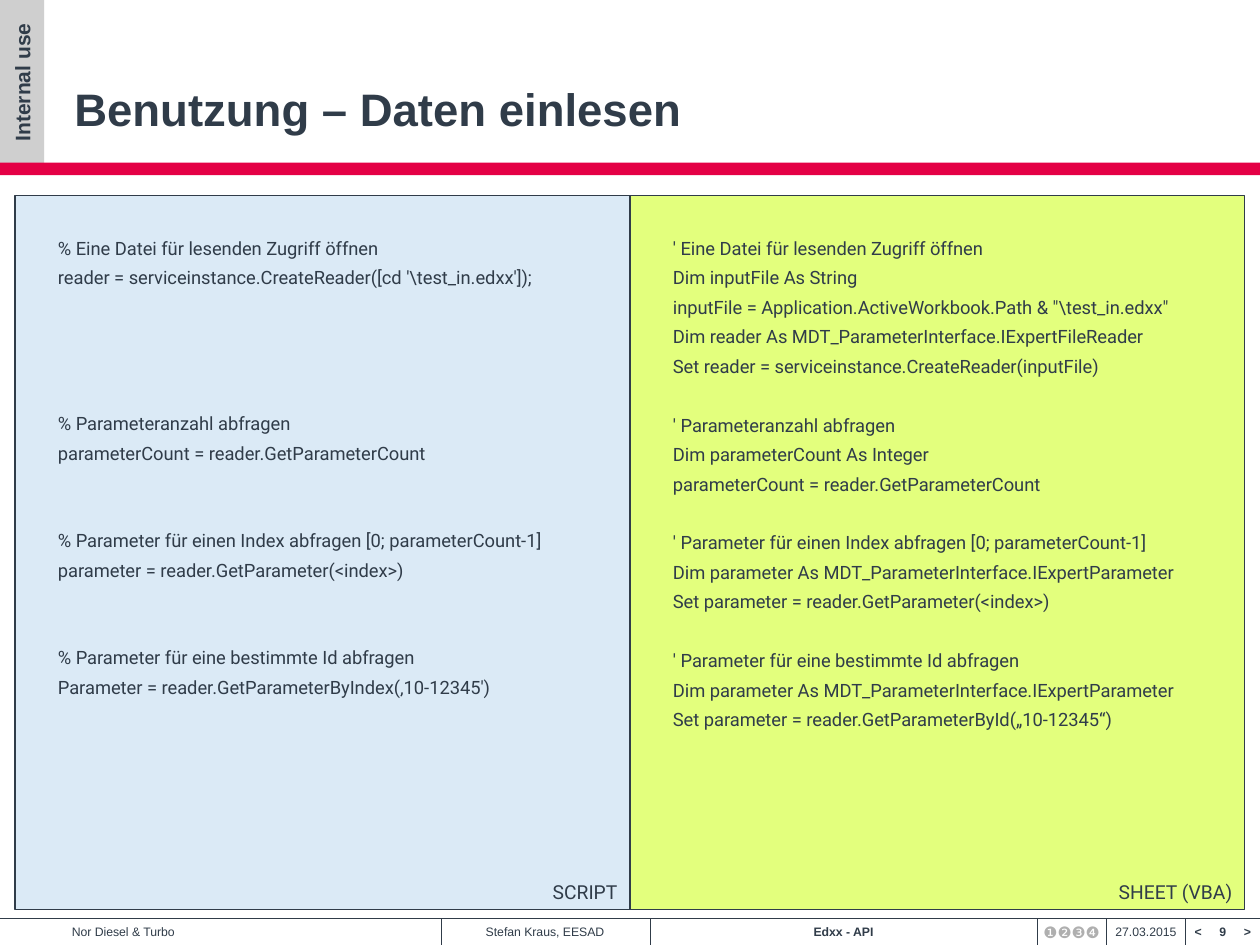
from dataclasses import dataclass

from lxml import etree
from pptx import Presentation
from pptx.dml.color import RGBColor
from pptx.enum.shapes import MSO_CONNECTOR, MSO_SHAPE
from pptx.enum.text import MSO_ANCHOR as Anchor, PP_ALIGN as Align
from pptx.oxml.ns import qn
from pptx.util import Inches, Pt

INK = "303C49"
FOOTER_TOP = 7.29
FOOTER_HEIGHT = 0.21
CODE_SIZE = 10.5
LINE_GAP = 4.3
LINE_PITCH = 16.6


@dataclass
class Style:
    size: float
    font: str = "Arial"
    bold: bool = False
    color: str = INK
    align: Align = Align.CENTER
    anchor: Anchor = Anchor.MIDDLE


@dataclass
class FooterCell:
    text: str
    left: float
    width: float
    bold: bool = False
    align: Align = Align.CENTER
    inset: float = 0


@dataclass
class CodeBlock:
    lines: list[str]
    blank_lines_before: int = 0


@dataclass
class Panel:
    label: str
    left: float
    fill: str
    blocks: list[CodeBlock]


FOOTER_CELLS = [
    FooterCell("9", 9.41, 0.59, bold=True),
    FooterCell("<", 9.41, 0.2, bold=True),
    FooterCell(">", 9.8, 0.2, bold=True),
    FooterCell("Nor Diesel & Turbo", 0, 2.17, align=Align.LEFT, inset=0.57),
    FooterCell("Stefan Kraus, EESAD", 3.5, 1.65),
    FooterCell("Edxx - API", 5.16, 3.07, bold=True),
    FooterCell("27.03.2015", 8.78, 0.63),
]
FOOTER_DIVIDERS = [3.5, 5.16, 8.23, 8.78, 9.41]

PANELS = [
    Panel("SCRIPT", 0.12, "DBEAF6", [
        CodeBlock(["% Eine Datei für lesenden Zugriff öffnen",
                   "reader = serviceinstance.CreateReader([cd '\\test_in.edxx']);"]),
        CodeBlock(["% Parameteranzahl abfragen",
                   "parameterCount = reader.GetParameterCount"], 4),
        CodeBlock(["% Parameter für einen Index abfragen [0; parameterCount-1]",
                   "parameter = reader.GetParameter(<index>)"], 2),
        CodeBlock(["% Parameter für eine bestimmte Id abfragen",
                   "Parameter = reader.GetParameterByIndex(‚10-12345')"], 2),
    ]),
    Panel("SHEET (VBA)", 5, "E3FF7D", [
        CodeBlock(["' Eine Datei für lesenden Zugriff öffnen",
                   "Dim inputFile As String",
                   "inputFile = Application.ActiveWorkbook.Path & \"\\test_in.edxx\"",
                   "Dim reader As MDT_ParameterInterface.IExpertFileReader",
                   "Set reader = serviceinstance.CreateReader(inputFile)"]),
        CodeBlock(["' Parameteranzahl abfragen",
                   "Dim parameterCount As Integer",
                   "parameterCount = reader.GetParameterCount"], 1),
        CodeBlock(["' Parameter für einen Index abfragen [0; parameterCount-1]",
                   "Dim parameter As MDT_ParameterInterface.IExpertParameter",
                   "Set parameter = reader.GetParameter(<index>)"], 1),
        CodeBlock(["' Parameter für eine bestimmte Id abfragen",
                   "Dim parameter As MDT_ParameterInterface.IExpertParameter",
                   "Set parameter = reader.GetParameterById(„10-12345“)"], 1),
    ]),
]


def rgb(color: str) -> RGBColor:
    return RGBColor.from_string(color)


def write(box, text: str, style: Style, insets=(0, 0, 0, 0)) -> None:
    """Fill a box with text; insets are left, top, right, bottom in inches."""
    frame = box.text_frame
    frame.word_wrap = True
    frame.vertical_anchor = style.anchor
    (frame.margin_left, frame.margin_top,
     frame.margin_right, frame.margin_bottom) = map(Inches, insets)
    frame.text = text
    for para in frame.paragraphs:
        para.alignment = style.align
        for span in para.runs:
            span.font.name = style.font
            span.font.size = Pt(style.size)
            span.font.bold = style.bold
            span.font.color.rgb = rgb(style.color)


def add_text(page, left: float, top: float, width: float, height: float,
             text: str, style: Style, insets=(0, 0, 0, 0)):
    box = page.shapes.add_textbox(*map(Inches, (left, top, width, height)))
    write(box, text, style, insets)
    return box


def add_bar(page, left: float, top: float, width: float, height: float, fill: str):
    bar = page.shapes.add_shape(MSO_SHAPE.RECTANGLE, *map(Inches, (left, top, width, height)))
    bar.shadow.inherit = False
    bar.fill.solid()
    bar.fill.fore_color.rgb = rgb(fill)
    bar.line.fill.background()
    return bar


def add_rule(page, x1: float, y1: float, x2: float, y2: float) -> None:
    rule = page.shapes.add_connector(MSO_CONNECTOR.STRAIGHT, *map(Inches, (x1, y1, x2, y2)))
    rule.line.color.rgb = rgb(INK)
    rule.line.width = Pt(0.5)
    etree.SubElement(rule.element.spPr, qn("a:effectLst"))


def add_header(page) -> None:
    tag = add_bar(page, 0, 0, 0.35, 1.31, "CFCFCF")
    write(tag, "Internal use", Style(12, bold=True))
    tag.element.txBody.bodyPr.set("vert", "vert270")
    add_bar(page, 0, 1.29, 10, 0.1, "E40045")
    add_text(page, 0.59, 0.21, 6.93, 0.94, "Benutzung – Daten einlesen",
             Style(26, bold=True, align=Align.LEFT, anchor=Anchor.BOTTOM), (0, 0, 0, 0.07))


def add_footer(page) -> None:
    for cell in FOOTER_CELLS:
        add_text(page, cell.left, FOOTER_TOP, cell.width, FOOTER_HEIGHT, cell.text,
                 Style(7, bold=cell.bold, align=cell.align), (cell.inset, 0, 0, 0))
    add_rule(page, 0, FOOTER_TOP, 10, FOOTER_TOP)
    for x in FOOTER_DIVIDERS:
        add_rule(page, x, FOOTER_TOP, x, FOOTER_TOP + FOOTER_HEIGHT)
    add_text(page, 8.23, 7.32, 0.55, 0.16, "❶❷❸❹",
             Style(9, color="AFAFAF", anchor=Anchor.TOP))


def add_panel(page, panel: Panel) -> None:
    card = add_bar(page, panel.left, 1.55, 4.88, 5.67, panel.fill)
    card.line.color.rgb = rgb(INK)
    card.line.width = Pt(0.75)
    write(card, panel.label, Style(11, "Roboto", align=Align.RIGHT, anchor=Anchor.BOTTOM),
          (0.1, 0.05, 0.1, 0.05))

    code = "\n".join(line for block in panel.blocks for line in block.lines)
    box = add_text(page, panel.left + 0.34, 1.88, 4.39, 5.02, code,
                   Style(CODE_SIZE, "Roboto", align=Align.LEFT, anchor=Anchor.TOP))
    paragraphs = iter(box.text_frame.paragraphs)
    for block in panel.blocks:
        for index, para in zip(range(len(block.lines)), paragraphs):
            blanks = block.blank_lines_before if index == 0 else 0
            para.space_before = Pt(LINE_GAP + blanks * LINE_PITCH)


def main() -> None:
    deck = Presentation()
    deck.slide_width, deck.slide_height = Inches(10), Inches(7.5)
    page = deck.slides.add_slide(deck.slide_layouts[6])
    add_header(page)
    add_footer(page)
    for panel in PANELS:
        add_panel(page, panel)
    deck.save("out.pptx")


if __name__ == "__main__":
    main()
